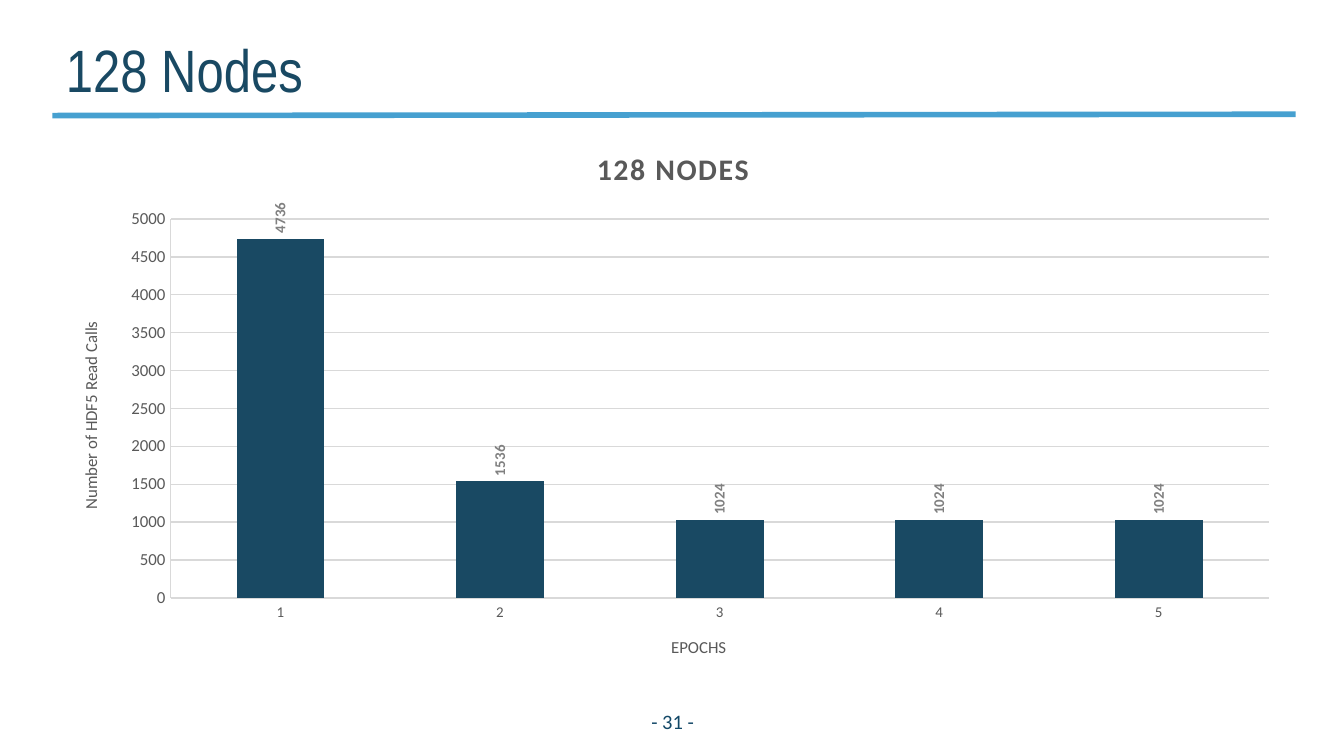
from lxml.etree import SubElement
from pptx import Presentation
from pptx.chart.data import CategoryChartData
from pptx.dml.color import RGBColor
from pptx.enum.chart import XL_CHART_TYPE, XL_LABEL_POSITION, XL_TICK_MARK
from pptx.enum.text import MSO_ANCHOR, PP_ALIGN
from pptx.oxml import parse_xml
from pptx.oxml.ns import nsdecls, qn
from pptx.util import Inches, Pt

NAVY, GREY, PALE = "194963", "595959", "D9D9D9"
UPWARD = "-5400000"
CHART_WIDTH, CHART_HEIGHT = 9.24, 4.16


def style(font, size, color, name="Calibri", bold=False):
    font.size = Pt(size)
    font.name = name
    font.bold = bold
    font.color.rgb = RGBColor.from_string(color)


def place(parent, index, **inches):
    """Give a chart part a fixed place, in inches from the chart's corner."""
    for old in parent.findall(qn("c:layout")):
        parent.remove(old)
    target = '<c:layoutTarget val="inner"/>' if "w" in inches else ""
    modes = '<c:xMode val="edge"/><c:yMode val="edge"/>'
    values = "".join(
        f'<c:{key} val="{length / (CHART_WIDTH if key in "xw" else CHART_HEIGHT)}"/>'
        for key, length in inches.items())
    parent.insert(index, parse_xml(
        f'<c:layout {nsdecls("c")}><c:manualLayout>{target}{modes}{values}'
        "</c:manualLayout></c:layout>"))


deck = Presentation()
deck.slide_width = Inches(10)
deck.slide_height = deck.slide_width * 9 // 16
page = deck.slides.add_slide(deck.slide_layouts[5])

# Heading and rule
title = page.shapes.title
title.left, title.top = Inches(0.39), Inches(0.15)
title.width, title.height = Inches(7.46), Inches(0.63)
frame = title.text_frame
frame.vertical_anchor = MSO_ANCHOR.BOTTOM
frame.margin_top = frame.margin_bottom = 0
para = frame.paragraphs[0]
para.alignment = PP_ALIGN.LEFT
span = para.add_run()
span.text = "128 Nodes"
style(span.font, 32, NAVY, "Arial Narrow")

rule = page.shapes.add_connector(1, Inches(0.39), Inches(0.86), Inches(9.64), Inches(0.85))
rule.line.color.rgb = RGBColor.from_string("46A0D0")
rule.line.width = Pt(3)
SubElement(rule._element.spPr, qn("a:effectLst"))

# Page number
box = page.shapes.add_textbox(Inches(4.5), Inches(5.22), Inches(1.01), Inches(0.3))
box.text_frame.word_wrap = True
box.text_frame.vertical_anchor = MSO_ANCHOR.MIDDLE
para = box.text_frame.paragraphs[0]
para.alignment = PP_ALIGN.CENTER
span = para.add_run()
span.text = "- 31 -"
style(span.font, 11, "114766")

# Read calls per epoch
data = CategoryChartData()
data.categories = ["1", "2", "3", "4", "5"]
data.add_series("Series 1", [4736, 1536, 1024, 1024, 1024])
chart = page.shapes.add_chart(
    XL_CHART_TYPE.COLUMN_CLUSTERED, Inches(0.39), Inches(0.93),
    Inches(CHART_WIDTH), Inches(CHART_HEIGHT), data).chart
style(chart.font, 10, "000000")
chart.has_legend = False

plot = chart.plots[0]
plot.gap_width = 150
plot.vary_by_categories = False
bars = plot.series[0]
bars.format.fill.solid()
bars.format.fill.fore_color.rgb = RGBColor.from_string(NAVY)
labels = bars.data_labels
labels.show_value = True
labels.position = XL_LABEL_POSITION.OUTSIDE_END
style(labels.font, 8, "808080", bold=True)
label_body = labels._element.find(qn("c:txPr")).find(qn("a:bodyPr"))
label_body.set("rot", UPWARD)
label_body.set("vert", "horz")

values = chart.value_axis
values.minimum_scale, values.maximum_scale, values.major_unit = 0, 5000, 500
values.has_major_gridlines = True
for axis, size in ((chart.category_axis, 8), (values, 9)):
    axis.major_tick_mark = axis.minor_tick_mark = XL_TICK_MARK.NONE
    style(axis.tick_labels.font, size, GREY)
for line in (chart.category_axis.format.line, values.format.line,
             values.major_gridlines.format.line):
    line.color.rgb = RGBColor.from_string(PALE)
    line.width = Pt(0.75)

for heading, words, size, bold in (
        (chart.chart_title, "128 NODES", 16, True),
        (chart.category_axis.axis_title, "EPOCHS", 9, False),
        (values.axis_title, "Number of HDF5 Read Calls", 9, False)):
    span = heading.text_frame.paragraphs[0].add_run()
    span.text = words
    style(span.font, size, GREY, bold=bold)
    if bold:
        span.font._element.set("spc", "100")
value_body = values.axis_title.text_frame._txBody.find(qn("a:bodyPr"))
value_body.set("rot", UPWARD)
value_body.set("vert", "horz")

chart.chart_title.include_in_layout = False
corners = ((4.01, 0.14), (4.58, 3.78), (0.18, 1.44))
for heading, (x, y) in zip(chart._chartSpace.xpath(".//c:title"), corners):
    place(heading, 1, x=x, y=y)
place(chart._chartSpace.xpath(".//c:plotArea")[0], 0, x=0.88, y=0.7, w=8.17, h=2.82)

deck.save("out.pptx")
